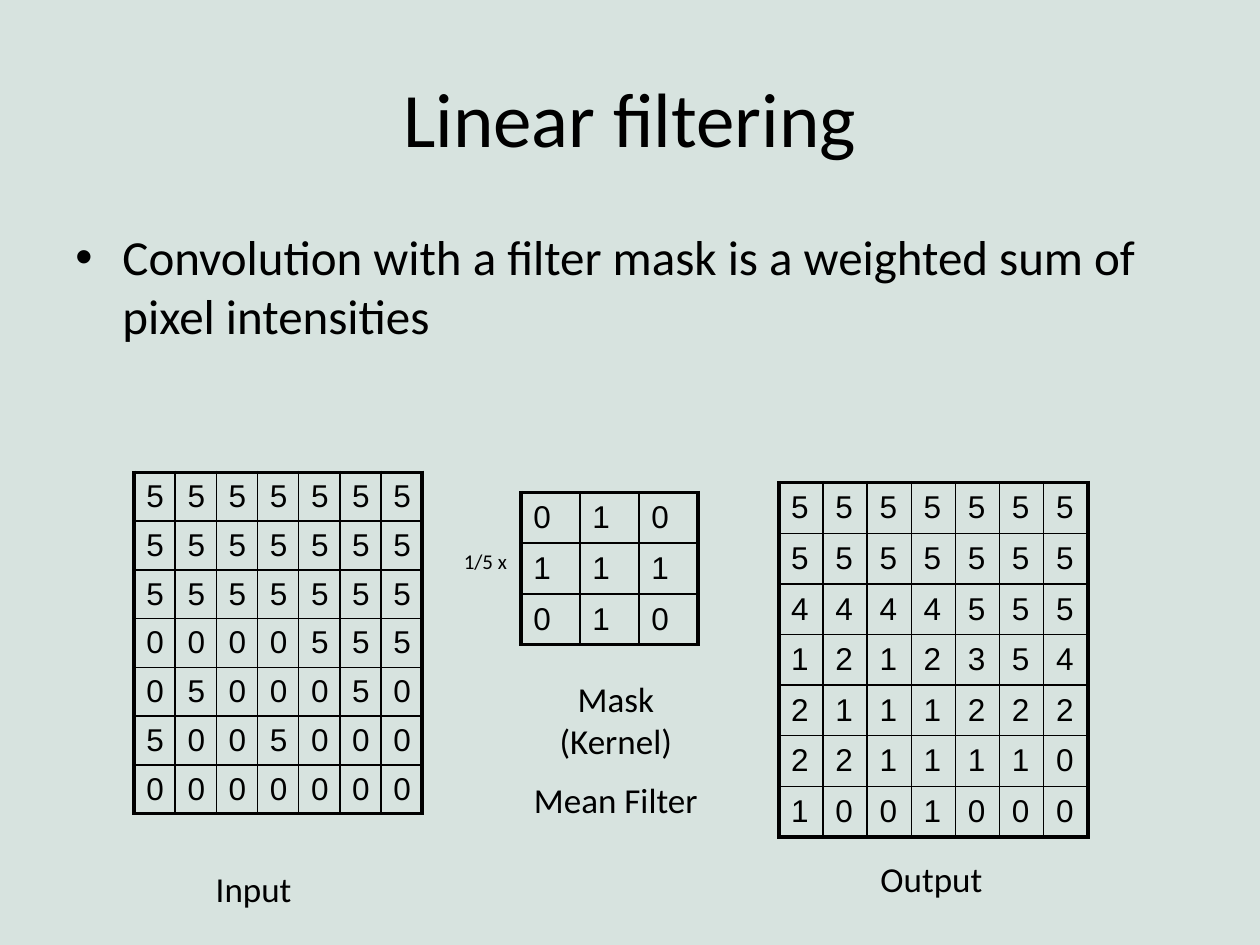
from dataclasses import dataclass

from lxml import etree
from pptx import Presentation
from pptx import util as u
from pptx.dml import color
from pptx.enum import text
from pptx.oxml import ns


@dataclass(frozen=True)
class Theme:
    background: color.RGBColor = color.RGBColor(0xD7, 0xE3, 0xDF)
    ink: color.RGBColor = color.RGBColor(0, 0, 0)
    font: str = "Calibri"
    grid_font: str = "Arial"
    title: int = 44
    body: int = 28
    label: int = 20
    digit: int = 18
    factor: int = 12
    outer_line: float = 2.25
    inner_line: float = 1


THEME = Theme()

INPUT = ["5555555", "5555555", "5555555", "0000555", "0500050", "5005000", "0000000"]
MASK = ["010", "111", "010"]
OUTPUT = ["5555555", "5555555", "4444555", "1212354", "2111222", "2211110", "1001000"]


def style(paragraph, size, font=THEME.font):
    paragraph.font.name = font
    paragraph.font.size = u.Pt(size)
    paragraph.font.color.rgb = THEME.ink


def add_bullet(paragraph, indent):
    properties = paragraph._p.get_or_add_pPr()
    properties.set("marL", str(indent))
    properties.set("indent", str(-indent))
    etree.SubElement(properties, ns.qn("a:buFont"), typeface="Arial")
    etree.SubElement(properties, ns.qn("a:buChar"), char="•")


def add_text(slide, box, lines, size, align=text.PP_ALIGN.LEFT, bullet_indent=None):
    """Text box with one paragraph for each line; box is in cm."""
    frame = slide.shapes.add_textbox(*map(u.Cm, box)).text_frame
    frame.word_wrap = True
    for index, line in enumerate(lines):
        paragraph = frame.add_paragraph() if index else frame.paragraphs[0]
        paragraph.text = line
        paragraph.alignment = align
        if index:
            paragraph.space_before = u.Pt(size / 2)
        if bullet_indent is not None:
            add_bullet(paragraph, bullet_indent)
        style(paragraph, size)


def set_borders(cell, outer_sides):
    """Draw all four sides, with the heavy line on the outer ones."""
    properties = cell._tc.get_or_add_tcPr()
    for position, side in enumerate("LRTB"):
        width = THEME.outer_line if side in outer_sides else THEME.inner_line
        line = etree.Element(ns.qn(f"a:ln{side}"), w=str(u.Pt(width)))
        fill = etree.SubElement(line, ns.qn("a:solidFill"))
        etree.SubElement(fill, ns.qn("a:srgbClr"), val=str(THEME.ink))
        properties.insert(position, line)


def add_grid(slide, left, top, column_width, row_height, rows):
    """Pixel grid; each row is a string of digits, lengths are in cm."""
    row_count, column_count = len(rows), len(rows[0])
    table = slide.shapes.add_table(
        row_count, column_count, u.Cm(left), u.Cm(top),
        u.Cm(column_width * column_count), u.Cm(row_height * row_count)).table
    table.first_row = table.horz_banding = False
    for column in table.columns:
        column.width = u.Cm(column_width)
    for row_index, (row, digits) in enumerate(zip(table.rows, rows)):
        row.height = u.Cm(row_height)
        for column_index, digit in enumerate(digits):
            cell = table.cell(row_index, column_index)
            cell.fill.background()
            cell.margin_left, cell.margin_right = u.Cm(0.25), 0
            cell.margin_top = cell.margin_bottom = u.Cm(0.11)
            cell.vertical_anchor = text.MSO_ANCHOR.MIDDLE
            cell.text = digit
            style(cell.text_frame.paragraphs[0], THEME.digit, THEME.grid_font)
            edges = {"L": column_index == 0, "R": column_index == column_count - 1,
                     "T": row_index == 0, "B": row_index == row_count - 1}
            set_borders(cell, [side for side, outer in edges.items() if outer])


def place_title(slide, box, words):
    title = slide.shapes.title
    title.left, title.top, title.width, title.height = map(u.Cm, box)
    title.text_frame.text = words
    title.text_frame.vertical_anchor = text.MSO_ANCHOR.MIDDLE
    paragraph = title.text_frame.paragraphs[0]
    paragraph.alignment = text.PP_ALIGN.CENTER
    style(paragraph, THEME.title)


def image_region(slide, left, top, cell_size, rows, label, label_offset):
    """Image grid with its label underneath."""
    add_grid(slide, left, top, *cell_size, rows)
    label_left, label_top = label_offset
    add_text(slide, (left + label_left, top + label_top, 3.2, 1.1), [label], THEME.label)


def mask_region(slide, left, top):
    """Mask grid with its factor on the left and its names underneath."""
    add_grid(slide, left, top, 1.19, 1.02, MASK)
    add_text(slide, (left - 0.18, top + 3.6, 4.19, 3.23), ["Mask (Kernel)", "Mean Filter"],
             THEME.label, text.PP_ALIGN.CENTER)
    add_text(slide, (left - 1.4, top + 1, 1.6, 0.76), ["1/5 x"], THEME.factor)


def main():
    presentation = Presentation()
    presentation.slide_width, presentation.slide_height = u.Cm(25.4), u.Cm(19.05)
    slide = presentation.slides.add_slide(presentation.slide_layouts[5])
    slide.background.fill.solid()
    slide.background.fill.fore_color.rgb = THEME.background

    # Heading and statement
    place_title(slide, (1.27, 0.76, 22.86, 3.18), "Linear filtering")
    add_text(slide, (1.27, 4.45, 22.23, 5.08),
             ["Convolution with a filter mask is a weighted sum of pixel intensities"],
             THEME.body, bullet_indent=u.Cm(0.95))

    # Input, mask and output
    image_region(slide, 2.7, 9.52, (0.83, 0.97), INPUT, "Input", (1.4, 7.85))
    mask_region(slide, 10.5, 9.93)
    image_region(slide, 15.7, 9.73, (0.89, 1.02), OUTPUT, "Output", (1.8, 7.44))

    presentation.save("out.pptx")


if __name__ == "__main__":
    main()
